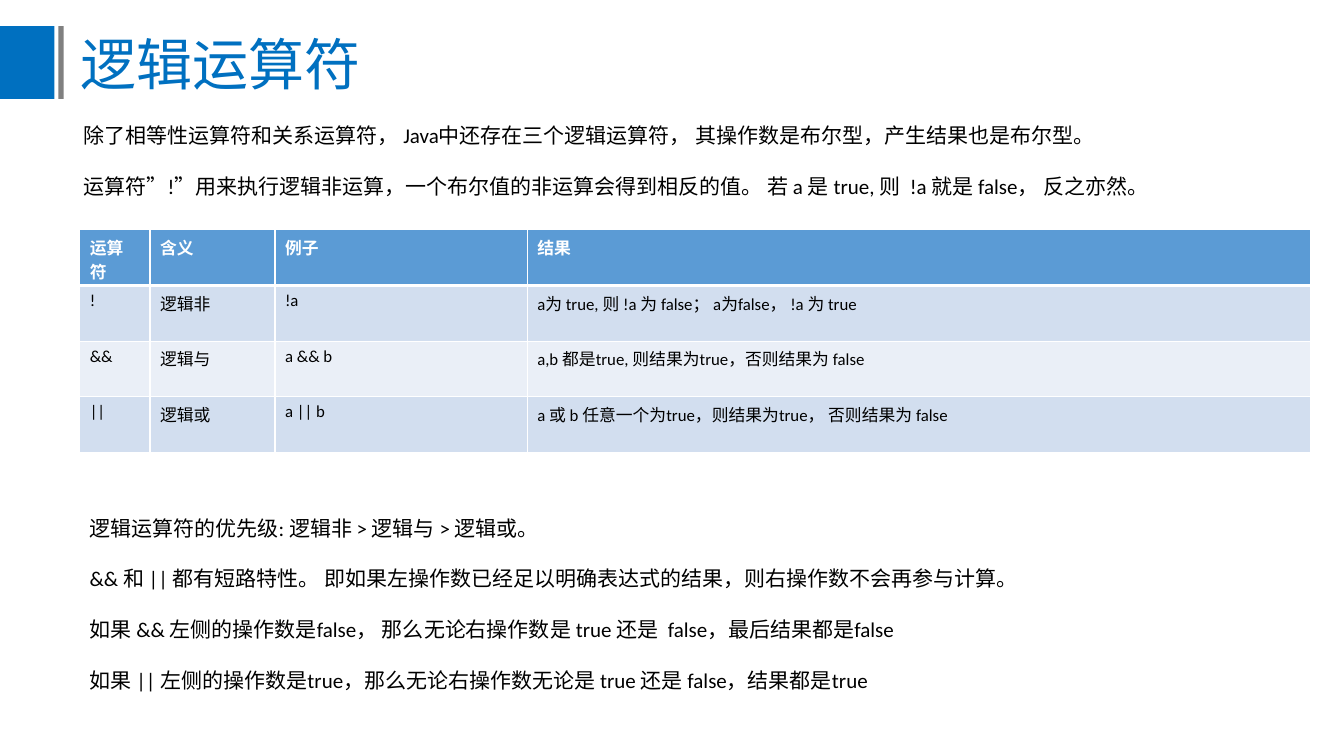
"""Build the slide on logical operators."""
from dataclasses import dataclass

from pptx import Presentation
from pptx.dml.color import RGBColor
from pptx.enum.lang import MSO_LANGUAGE_ID
from pptx.enum.shapes import MSO_SHAPE
from pptx.oxml import parse_xml
from pptx.oxml.ns import nsdecls
from pptx.util import Inches, Pt

WIDTH, HEIGHT = Inches(13.33), Inches(7.5)
BLUE = RGBColor(0x00, 0x70, 0xC0)
GRAY = RGBColor(0x80, 0x80, 0x80)
BLACK = RGBColor(0x00, 0x00, 0x00)
WHITE = RGBColor(0xFF, 0xFF, 0xFF)
HEAD = RGBColor(0x5B, 0x9B, 0xD5)
BANDS = (RGBColor(0xEA, 0xEF, 0xF7), RGBColor(0xD2, 0xDE, 0xEF))

PLAIN = {"name": "Calibri", "size": Pt(15), "bold": False}
CELL = PLAIN | {"size": Pt(12)}
TITLE = PLAIN | {"name": "Noto Sans CJK SC", "size": Pt(40)}


@dataclass(frozen=True)
class Box:
    """A frame in percent of the slide's width and height."""
    left: float
    top: float
    width: float
    height: float

    def frame(self) -> tuple[int, int, int, int]:
        """Return the frame as lengths."""
        return (across(self.left), down(self.top),
                across(self.width), down(self.height))


@dataclass(frozen=True)
class Bar:
    """A plain coloured bar."""
    box: Box
    color: RGBColor


@dataclass(frozen=True)
class Note:
    """A text box with one paragraph for each line."""
    box: Box
    lines: tuple[str, ...]
    style: dict
    color: RGBColor = BLACK
    wrap: bool = True


BARS = (
    Bar(Box(0, 3.47, 4.05, 9.6), BLUE),
    Bar(Box(4.35, 3.47, 0.38, 9.6), GRAY),
)
NOTES = (
    Note(Box(5.25, 3.2, 22.36, 10.27), ("逻辑运算符",), TITLE, BLUE, False),
    Note(Box(5.48, 15.6, 90.25, 14.8), (
        "除了相等性运算符和关系运算符， Java中还存在三个逻辑运算符， 其操作数是布尔型，产生结果也是布尔型。",
        "运算符”!”用来执行逻辑非运算，一个布尔值的非运算会得到相反的值。 若 a 是 true, 则  !a 就是 false， 反之亦然。",
    ), PLAIN),
    Note(Box(5.93, 67.47, 88.22, 24.93), (
        "逻辑运算符的优先级: 逻辑非 > 逻辑与 > 逻辑或。",
        "&& 和 || 都有短路特性。 即如果左操作数已经足以明确表达式的结果，则右操作数不会再参与计算。",
        "如果 && 左侧的操作数是false， 那么无论右操作数是 true 还是  false，最后结果都是false",
        "如果 || 左侧的操作数是true，那么无论右操作数无论是 true 还是 false，结果都是true",
    ), PLAIN),
)
GRID = Box(5.93, 30.4, 91.59, 29.48)
COLS = (5.23, 9.3, 18.77, 58.29)
ROWS = (
    ("运算符", "含义", "例子", "结果"),
    ("!", "逻辑非", "!a", "a为 true, 则 !a 为 false； a为false， !a 为 true"),
    ("&&", "逻辑与", "a && b", "a,b 都是true, 则结果为true，否则结果为 false"),
    ("||", "逻辑或", "a || b", "a 或 b 任意一个为true，则结果为true， 否则结果为 false"),
)


def across(share: float) -> int:
    """Turn a percentage of the slide's width into a length."""
    return round(WIDTH * share / 100)


def down(share: float) -> int:
    """Turn a percentage of the slide's height into a length."""
    return round(HEIGHT * share / 100)


def write(para, text: str, style: dict, color: RGBColor) -> None:
    """Write one styled run into a paragraph."""
    run = para.add_run()
    run.text = text
    for key, value in style.items():
        setattr(run.font, key, value)
    run.font.color.rgb = color
    run.font.language_id = MSO_LANGUAGE_ID.SIMPLIFIED_CHINESE


def draw_bar(slide, bar: Bar) -> None:
    """Draw a bar without outline."""
    shape = slide.shapes.add_shape(MSO_SHAPE.RECTANGLE, *bar.box.frame())
    shape.shadow.inherit = False
    shape.fill.solid()
    shape.fill.fore_color.rgb = bar.color
    shape.line.fill.background()


def draw_note(slide, note: Note) -> None:
    """Draw a text box with spaced paragraphs."""
    frame = slide.shapes.add_textbox(*note.box.frame()).text_frame
    frame.word_wrap = note.wrap
    for index, line in enumerate(note.lines):
        para = frame.add_paragraph() if index else frame.paragraphs[0]
        if index:
            para.space_before = Pt(18.3)
        write(para, line, note.style, note.color)


def edge(cell, first: bool, second: bool) -> None:
    """Give a cell white borders, heavy below the header row."""
    widths = {"L": 1, "R": 1, "T": 3 if second else 1, "B": 3 if first else 1}
    props = cell._tc.get_or_add_tcPr()
    for side, width in widths.items():
        props.append(parse_xml(
            f'<a:ln{side} {nsdecls("a")} w="{Pt(width)}"><a:solidFill>'
            f'<a:srgbClr val="{WHITE}"/></a:solidFill></a:ln{side}>'))


def draw_table(slide) -> None:
    """Draw the table of operators."""
    table = slide.shapes.add_table(len(ROWS), len(COLS), *GRID.frame()).table
    for col, share in zip(table.columns, COLS):
        col.width = across(share)
    for y, texts in enumerate(ROWS):
        head = y == 0
        for x, text in enumerate(texts):
            cell = table.cell(y, x)
            edge(cell, head, y == 1)
            cell.fill.solid()
            cell.fill.fore_color.rgb = HEAD if head else BANDS[y % 2]
            write(cell.text_frame.paragraphs[0], text,
                  CELL | {"bold": head}, WHITE if head else BLACK)


def main() -> None:
    """Build and save the deck."""
    deck = Presentation()
    deck.slide_width, deck.slide_height = WIDTH, HEIGHT
    slide = deck.slides.add_slide(deck.slide_layouts[6])
    for bar in BARS:
        draw_bar(slide, bar)
    for note in NOTES:
        draw_note(slide, note)
    draw_table(slide)
    deck.save("out.pptx")


if __name__ == "__main__":
    main()
